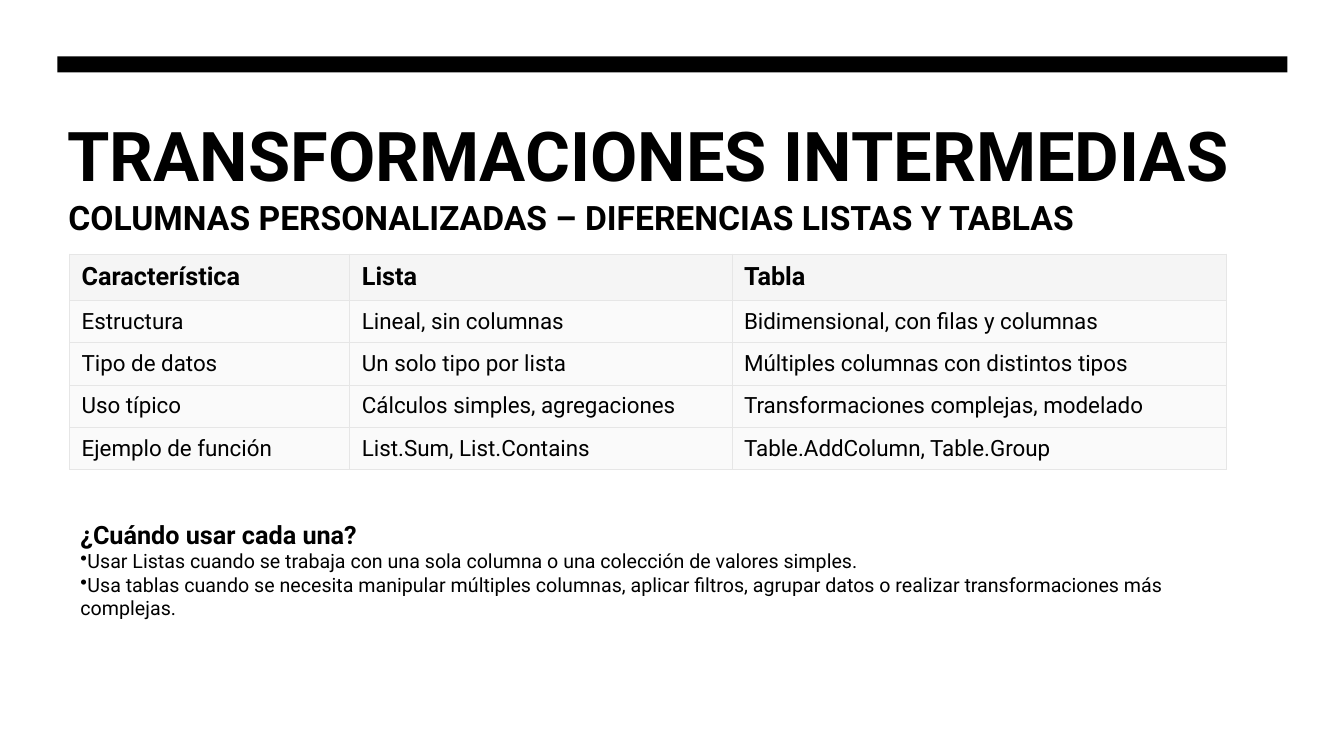
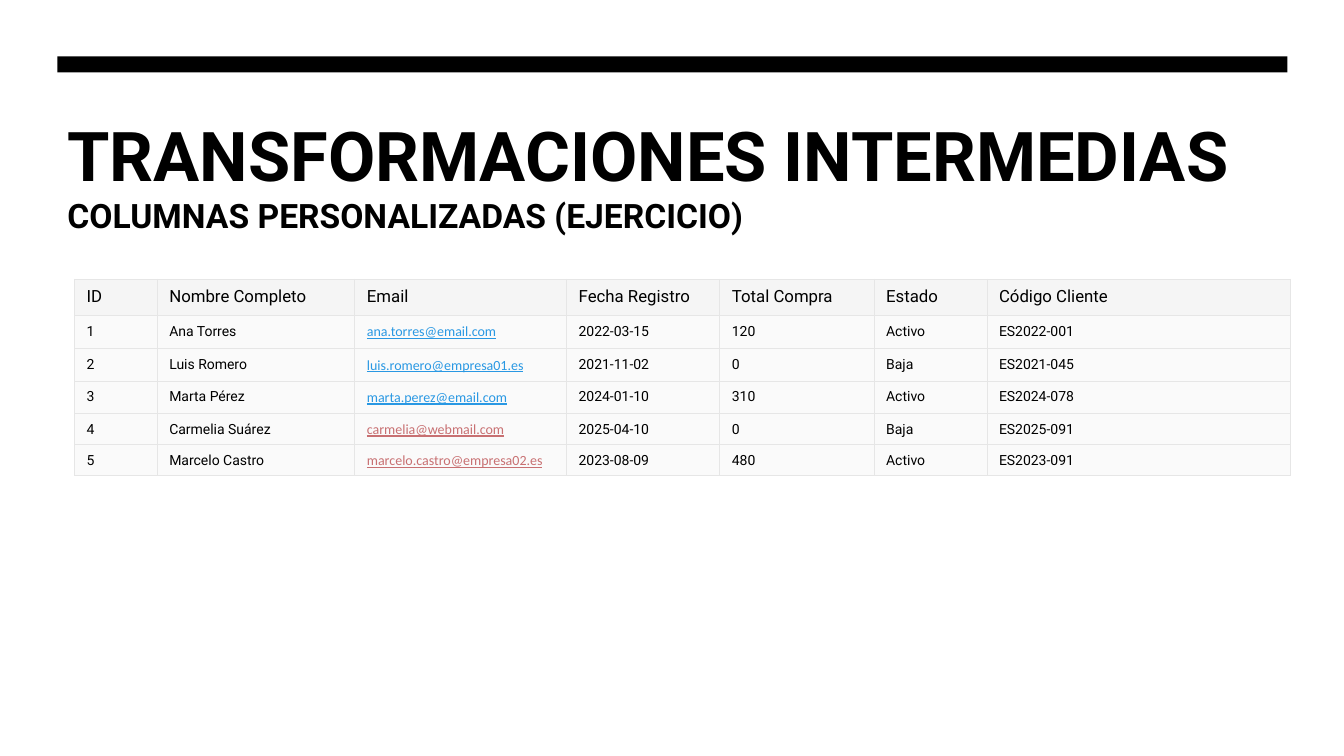
from dataclasses import dataclass

from lxml import etree
from pptx import Presentation
from pptx.dml.color import RGBColor
from pptx.enum.shapes import MSO_SHAPE
from pptx.enum.text import MSO_ANCHOR, MSO_AUTO_SIZE, PP_ALIGN
from pptx.oxml.ns import qn
from pptx.util import Inches, Pt

RECTANGLE = MSO_SHAPE.RECTANGLE
TOP = MSO_ANCHOR.TOP
NO_AUTOFIT = MSO_AUTO_SIZE.NONE
LEFT = PP_ALIGN.LEFT
TITLE_ONLY = 5


@dataclass(frozen=True)
class Theme:
    font: str = "Roboto"
    link_font: str = "Calibri"
    ink: str = "000000"
    link: str = "2998E3"
    visited: str = "C87072"
    header_fill: str = "F5F5F5"
    body_fill: str = "FAFAFA"
    border: str = "E6E6E6"
    border_width: float = 0.75
    title: int = 49
    subtitle: int = 24
    heading: int = 18
    cell: int = 16
    body: int = 14
    small_header: int = 12
    small_cell: int = 10


THEME = Theme()
TITLE = "TRANSFORMACIONES INTERMEDIAS"

COMPARISON = [
    ["Característica", "Lista", "Tabla"],
    ["Estructura", "Lineal, sin columnas", "Bidimensional, con filas y columnas"],
    ["Tipo de datos", "Un solo tipo por lista", "Múltiples columnas con distintos tipos"],
    ["Uso típico", "Cálculos simples, agregaciones", "Transformaciones complejas, modelado"],
    ["Ejemplo de función", "List.Sum, List.Contains", "Table.AddColumn, Table.Group"],
]

USAGE = [
    "Usar Listas cuando se trabaja con una sola columna o una colección de valores simples.",
    "Usa tablas cuando se necesita manipular múltiples columnas, aplicar filtros, "
    "agrupar datos o realizar transformaciones más complejas.",
]

CUSTOMERS = [
    ["ID", "Nombre Completo", "Email", "Fecha Registro", "Total Compra", "Estado", "Código Cliente"],
    ["1", "Ana Torres", "ana.torres@email.com", "2022-03-15", "120", "Activo", "ES2022-001"],
    ["2", "Luis Romero", "luis.romero@empresa01.es", "2021-11-02", "0", "Baja", "ES2021-045"],
    ["3", "Marta Pérez", "marta.perez@email.com", "2024-01-10", "310", "Activo", "ES2024-078"],
    ["4", "Carmelia Suárez", "carmelia@webmail.com", "2025-04-10", "0", "Baja", "ES2025-091"],
    ["5", "Marcelo Castro", "marcelo.castro@empresa02.es", "2023-08-09", "480", "Activo", "ES2023-091"],
]
EMAIL_COLUMN = 2
VISITED_ROWS = (4, 5)


def write(p, text, size, bold=False, color=THEME.ink, font=THEME.font, underline=False, bullet=None):
    p.alignment = LEFT
    if bullet:
        pPr = p._p.get_or_add_pPr()
        pPr.set("marL", "0")
        pPr.set("indent", "0")
        etree.SubElement(pPr, qn("a:buChar")).set("char", bullet)
    r = p.add_run()
    r.text = text
    r.font.name = font
    r.font.size = Pt(size)
    r.font.bold = bold
    r.font.underline = underline
    r.font.color.rgb = RGBColor.from_string(color)


def add_text_box(s, left, top, width, height):
    tf = s.shapes.add_textbox(Inches(left), Inches(top), Inches(width), Inches(height)).text_frame
    tf.word_wrap = True
    return tf


def add_bar(s):
    bar = s.shapes.add_shape(RECTANGLE, Inches(0.57), Inches(0.56), Inches(12.2), Inches(0.16))
    bar.shadow.inherit = False
    bar.fill.solid()
    bar.fill.fore_color.rgb = RGBColor.from_string(THEME.ink)
    bar.line.fill.background()


def add_title(s):
    sp = s.shapes.title
    sp.left, sp.top, sp.width, sp.height = Inches(0.57), Inches(1.07), Inches(12.2), Inches(0.82)
    tf = sp.text_frame
    tf.auto_size = NO_AUTOFIT
    tf.vertical_anchor = TOP
    write(tf.paragraphs[0], TITLE, THEME.title, bold=True)


def add_content_slide(prs, subtitle, left, top):
    s = prs.slides.add_slide(prs.slide_layouts[TITLE_ONLY])
    add_bar(s)
    add_title(s)
    tf = add_text_box(s, left, top, 12.2, 0.5)
    write(tf.paragraphs[0], subtitle, THEME.subtitle, bold=True)
    return s


def set_borders(cell):
    tcPr = cell._tc.get_or_add_tcPr()
    for side in ("lnL", "lnR", "lnT", "lnB"):
        line = etree.SubElement(tcPr, qn(f"a:{side}"), w=str(Pt(THEME.border_width)))
        fill = etree.SubElement(line, qn("a:solidFill"))
        etree.SubElement(fill, qn("a:srgbClr"), val=THEME.border)


def format_cell(cell, fill):
    set_borders(cell)
    cell.fill.solid()
    cell.fill.fore_color.rgb = RGBColor.from_string(fill)
    cell.margin_left = Inches(0.12)
    cell.margin_top = cell.margin_right = Inches(0.08)
    cell.margin_bottom = Inches(0.06)
    cell.vertical_anchor = TOP


def add_data_table(s, left, top, widths, heights, data, header, body, special=None):
    special = special or {}
    frame = s.shapes.add_table(
        len(data), len(widths), Inches(left), Inches(top), Inches(sum(widths)), Inches(sum(heights))
    )
    table = frame.table
    table.first_row = table.horz_banding = False
    for column, width in zip(table.columns, widths):
        column.width = Inches(width)
    for row, height in zip(table.rows, heights):
        row.height = Inches(height)
    for i, values in enumerate(data):
        for j, text in enumerate(values):
            cell = table.cell(i, j)
            format_cell(cell, THEME.body_fill if i else THEME.header_fill)
            style = {**(body if i else header), **special.get((i, j), {})}
            write(cell.text_frame.paragraphs[0], text, **style)


def build_comparison(prs):
    s = add_content_slide(prs, "COLUMNAS PERSONALIZADAS – DIFERENCIAS LISTAS Y TABLAS", 0.58, 1.9)
    add_data_table(
        s, 0.69, 2.52, [2.78, 3.79, 4.9], [0.46] + [0.42] * 4, COMPARISON,
        header=dict(size=THEME.heading, bold=True), body=dict(size=THEME.cell),
    )
    tf = add_text_box(s, 0.7, 5.1, 11.47, 1.11)
    write(tf.paragraphs[0], "¿Cuándo usar cada una?", THEME.heading, bold=True)
    for text in USAGE:
        write(tf.add_paragraph(), text, THEME.body, bullet="•")


def build_exercise(prs):
    s = add_content_slide(prs, "COLUMNAS PERSONALIZADAS (EJERCICIO)", 0.57, 1.88)
    emails = {
        (i, EMAIL_COLUMN): dict(
            font=THEME.link_font,
            color=THEME.visited if i in VISITED_ROWS else THEME.link,
            underline=True,
        )
        for i in range(1, len(CUSTOMERS))
    }
    add_data_table(
        s, 0.74, 2.77, [0.82, 1.96, 2.1, 1.52, 1.53, 1.12, 3.01],
        [0.36, 0.33, 0.32, 0.32, 0.31, 0.31], CUSTOMERS,
        header=dict(size=THEME.small_header), body=dict(size=THEME.small_cell), special=emails,
    )


def main():
    prs = Presentation()
    prs.slide_width, prs.slide_height = Inches(13.33), Inches(7.5)
    build_comparison(prs)
    build_exercise(prs)
    prs.save("out.pptx")


if __name__ == "__main__":
    main()
